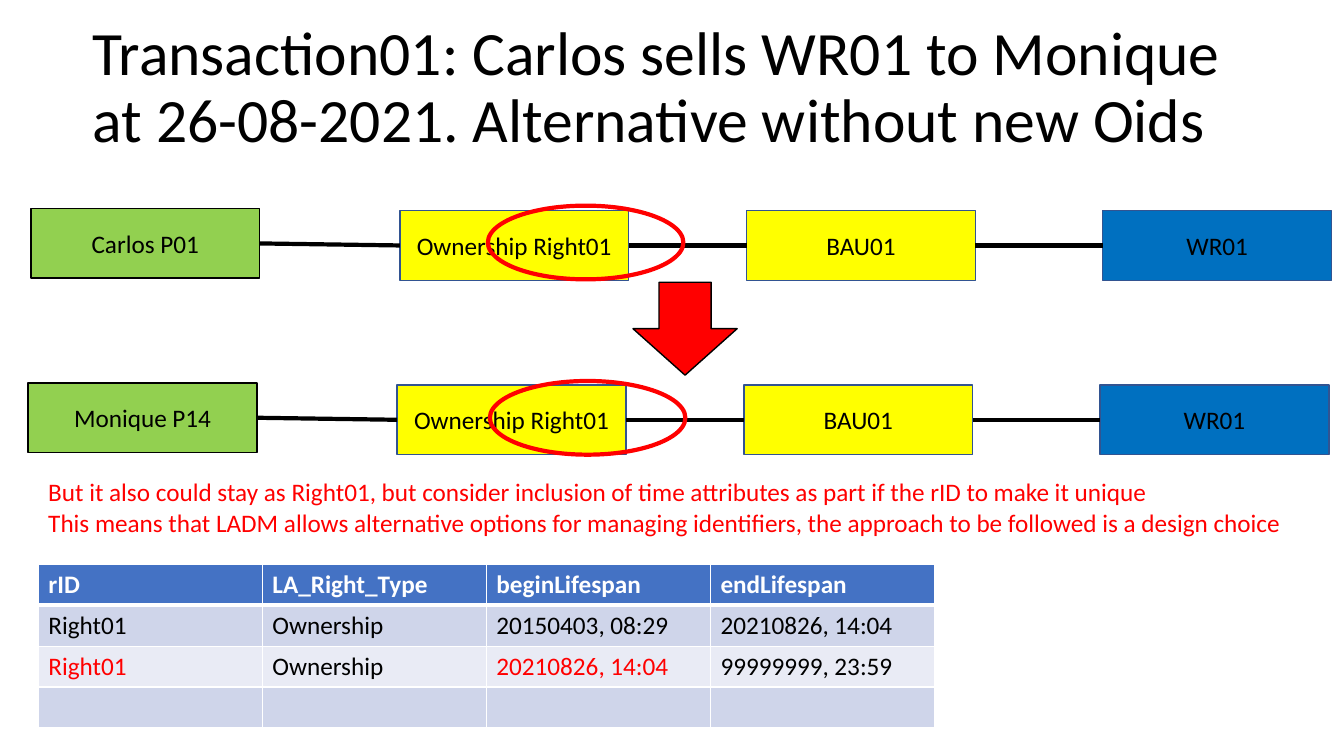
import itertools

import lxml.etree
import pptx
import pptx.dml.color
import pptx.enum.shapes
import pptx.enum.text
import pptx.oxml.ns
import pptx.util

SLIDE_WIDTH = pptx.util.Inches(13.33)
SLIDE_HEIGHT = pptx.util.Inches(7.5)
FONT = "Calibri"
COLORS = {
    "black": "000000",
    "white": "FFFFFF",
    "red": "FF0000",
    "party": "92D050",
    "right": "FFFF00",
    "water": "0070C0",
    "outline": "325491",
    "header": "4472C4",
    "band_dark": "CFD5EA",
    "band_light": "E9EBF5",
}
SHAPES = pptx.enum.shapes.MSO_SHAPE
ALIGN = pptx.enum.text.PP_ALIGN
ANCHOR = pptx.enum.text.MSO_ANCHOR

BOX_WIDTH, BOX_HEIGHT = 17.03, 9.2
PARTY_RISE = 0.27
TITLE = "Transaction01: Carlos sells WR01 to Monique at 26-08-2021. Alternative without new Oids"
REMARKS = [
    "But it also could stay as Right01, but consider inclusion of time attributes as part if the rID to make it unique",
    "This means that LADM allows alternative options for managing identifiers, the approach to be followed is a design choice",
]
RIGHTS = [
    ["rID", "LA_Right_Type", "beginLifespan", "endLifespan"],
    ["Right01", "Ownership", "20150403, 08:29", "20210826, 14:04"],
    ["Right01", "Ownership", "20210826, 14:04", "99999999, 23:59"],
    ["", "", "", ""],
]
CHANGED_CELLS = {(2, 0), (2, 2)}


def color(name):
    return pptx.dml.color.RGBColor.from_string(COLORS[name])


def place(left, top, width, height):
    """Turn percentages of the slide into lengths."""
    return (
        int(SLIDE_WIDTH * left / 100),
        int(SLIDE_HEIGHT * top / 100),
        int(SLIDE_WIDTH * width / 100),
        int(SLIDE_HEIGHT * height / 100),
    )


def set_font(para, size=18, name="black", bold=False):
    para.font.name = FONT
    para.font.size = pptx.util.Pt(size)
    para.font.bold = bold
    para.font.color.rgb = color(name)


def add_figure(slide, kind, area, fill, line, line_width=1):
    figure = slide.shapes.add_shape(kind, *place(*area))
    figure.shadow.inherit = False
    if fill:
        figure.fill.solid()
        figure.fill.fore_color.rgb = color(fill)
    else:
        figure.fill.background()
    figure.line.color.rgb = color(line)
    figure.line.width = pptx.util.Pt(line_width)
    return figure


def add_box(slide, text, left, top, fill, line):
    area = (left, top, BOX_WIDTH, BOX_HEIGHT)
    box = add_figure(slide, SHAPES.RECTANGLE, area, fill, line)
    box.text_frame.vertical_anchor = ANCHOR.MIDDLE
    para = box.text_frame.paragraphs[0]
    para.text = text
    para.alignment = ALIGN.CENTER
    set_font(para)
    return box


def add_link(slide, start, end):
    link = slide.shapes.add_connector(pptx.enum.shapes.MSO_CONNECTOR.STRAIGHT, 0, 0, 0, 0)
    link.begin_connect(start, 3)
    link.end_connect(end, 1)
    link.line.color.rgb = color("black")
    link.line.width = pptx.util.Pt(3)
    properties = link._element.spPr
    lxml.etree.SubElement(properties, pptx.oxml.ns.qn("a:effectLst"))


def add_chain(slide, party, left, top):
    boxes = [
        add_box(slide, party, left, top - PARTY_RISE, "party", "black"),
        add_box(slide, "Ownership Right01", left + 27.45, top, "right", "outline"),
        add_box(slide, "BAU01", left + 53.25, top, "right", "outline"),
        add_box(slide, "WR01", left + 79.75, top, "water", "outline"),
    ]
    for start, end in itertools.pairwise(boxes):
        add_link(slide, start, end)


def add_text(slide, lines, area, size, name, wrap=True, anchor=ANCHOR.TOP, spacing=1.0):
    frame = slide.shapes.add_textbox(*place(*area)).text_frame
    frame.word_wrap = wrap
    frame.vertical_anchor = anchor
    for number, line in enumerate(lines):
        para = frame.add_paragraph() if number else frame.paragraphs[0]
        para.text = line
        para.line_spacing = spacing
        set_font(para, size, name)


def add_border(cell, side, width):
    properties = cell._tc.get_or_add_tcPr()
    border = lxml.etree.SubElement(properties, pptx.oxml.ns.qn(f"a:ln{side}"))
    border.set("w", str(pptx.util.Pt(width)))
    fill = lxml.etree.SubElement(border, pptx.oxml.ns.qn("a:solidFill"))
    lxml.etree.SubElement(fill, pptx.oxml.ns.qn("a:srgbClr")).set("val", COLORS["white"])


def fill_cell(cell, text, row, column):
    header = row == 0
    for side in "LRTB":
        thick = (header and side == "B") or (row == 1 and side == "T")
        add_border(cell, side, 3 if thick else 1)
    band = "band_dark" if row % 2 else "band_light"
    cell.fill.solid()
    cell.fill.fore_color.rgb = color("header" if header else band)
    para = cell.text_frame.paragraphs[0]
    para.text = text
    ink = "red" if (row, column) in CHANGED_CELLS else "black"
    set_font(para, name="white" if header else ink, bold=header)


def add_rights_table(slide, area):
    frame = slide.shapes.add_table(len(RIGHTS), len(RIGHTS[0]), *place(*area))
    for row, texts in enumerate(RIGHTS):
        for column, text in enumerate(texts):
            fill_cell(frame.table.cell(row, column), text, row, column)


def main():
    deck = pptx.Presentation()
    deck.slide_width = SLIDE_WIDTH
    deck.slide_height = SLIDE_HEIGHT
    slide = deck.slides.add_slide(deck.slide_layouts[6])

    add_chain(slide, "Carlos P01", 2.3, 27.87)
    add_chain(slide, "Monique P14", 2.1, 50.93)
    add_figure(slide, SHAPES.DOWN_ARROW, (47.1, 37.33, 7.75, 12.3), "red", "black")
    add_text(slide, [TITLE], (6.15, 2.13, 86.25, 19.33), 44, "black",
             anchor=ANCHOR.MIDDLE, spacing=0.9)
    add_text(slide, REMARKS, (2.85, 62.4, 93.7, 9.47), 18, "red", wrap=False)
    add_rights_table(slide, (2.85, 74.67, 66.68, 21.6))
    for left, top in [(36.45, 50.4), (36.3, 27.2)]:
        add_figure(slide, SHAPES.OVAL, (left, top, 14.55, 9.75), None, "red", 3)

    deck.save("out.pptx")


if __name__ == "__main__":
    main()
